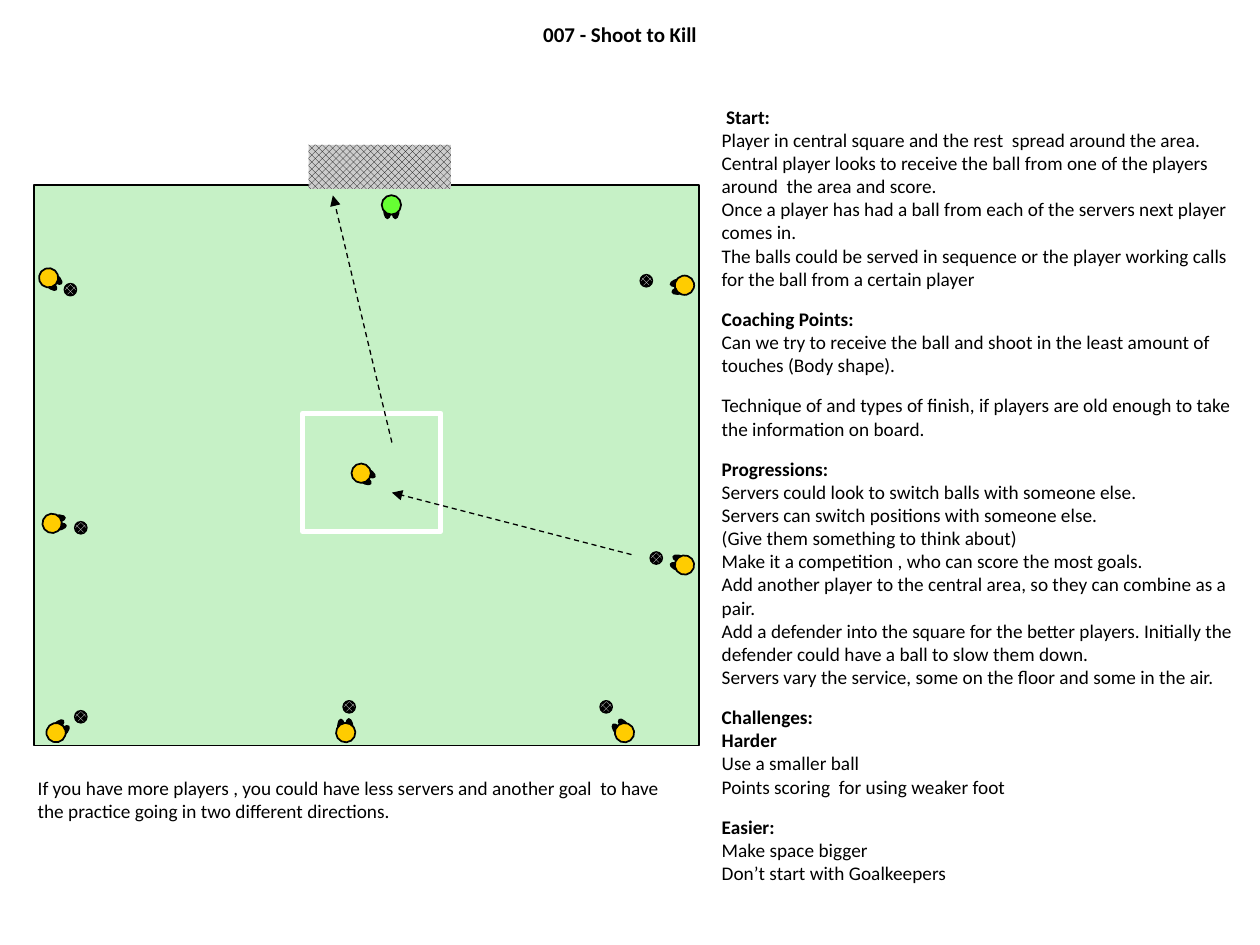
from math import cos, radians, sin

from lxml import etree
from pptx import Presentation
from pptx.dml.color import RGBColor
from pptx.enum.dml import MSO_LINE, MSO_PATTERN
from pptx.enum.shapes import MSO_CONNECTOR, MSO_SHAPE
from pptx.enum.text import MSO_ANCHOR, MSO_AUTO_SIZE, PP_ALIGN
from pptx.oxml.ns import qn
from pptx.util import Cm, Pt

BLACK = RGBColor(0x00, 0x00, 0x00)
WHITE = RGBColor(0xFF, 0xFF, 0xFF)
GRASS = RGBColor(0xC6, 0xF1, 0xC6)
NET = RGBColor(0xCC, 0xCC, 0xCC)
YELLOW = RGBColor(0xFF, 0xCC, 0x00)
GREEN = RGBColor(0x66, 0xFF, 0x33)

HEAD, FOOT, BALL, STEP = 0.39, 0.15, 0.25, 0.08

PLAYERS = [
    (13.8, 5.75, 257, YELLOW),
    (1.05, 10.55, 83, YELLOW),
    (0.98, 5.6, 131, YELLOW),
    (7.89, 4.13, 180, GREEN),
    (13.8, 11.39, 290, YELLOW),
    (1.13, 14.77, 47, YELLOW),
    (6.97, 14.77, 356, YELLOW),
    (12.59, 14.77, 322, YELLOW),
    (7.28, 9.54, 121, YELLOW),
]
BALLS = [(1.42, 5.84), (13.23, 11.25), (13.03, 5.66), (1.63, 10.64),
         (1.63, 14.45), (12.22, 14.25), (7.04, 14.25)]
ARROWS = [(7.9, 8.92, 6.71, 3.94), (12.73, 11.18, 7.9, 9.93)]

SECTIONS = [
    [" Start:",
     "Player in central square and the rest  spread around the area. Central player looks "
     "to receive the ball from one of the players around  the area and score.",
     "Once a player has had a ball from each of the servers next player comes in.",
     "The balls could be served in sequence or the player working calls for the ball "
     "from a certain player"],
    ["Coaching Points:",
     "Can we try to receive the ball and shoot in the least amount of touches (Body shape)."],
    ["Technique of and types of finish, if players are old enough to take the "
     "information on board."],
    ["Progressions:",
     "Servers could look to switch balls with someone else.",
     "Servers can switch positions with someone else.",
     "(Give them something to think about)",
     "Make it a competition , who can score the most goals.",
     "Add another player to the central area, so they can combine as a pair.",
     "Add a defender into the square for the better players. Initially the defender "
     "could have a ball to slow them down.",
     "Servers vary the service, some on the floor and some in the air."],
    ["Challenges:", "Harder", "Use a smaller ball", "Points scoring  for using weaker foot"],
    ["Easier:", "Make space bigger", "Don’t start with Goalkeepers"],
]
HEADINGS = {" Start:", "Coaching Points:", "Progressions:", "Challenges:", "Harder", "Easier:"}


def add_shape(shapes, kind, left, top, width, height, fill=None, line=None, weight=1, rot=0):
    sp = shapes.add_shape(kind, Cm(left), Cm(top), Cm(width), Cm(height))
    sp.shadow.inherit = False
    sp.rotation = rot
    if fill is None:
        sp.fill.background()
    elif isinstance(fill, RGBColor):
        sp.fill.solid()
        sp.fill.fore_color.rgb = fill
    else:
        sp.fill.patterned()
        sp.fill.pattern, sp.fill.fore_color.rgb, sp.fill.back_color.rgb = fill
    if line is None:
        sp.line.fill.background()
    else:
        sp.line.color.rgb = line
        sp.line.width = Pt(weight)
    return sp


def write(p, text, size=11, bold=False):
    p.text = text
    for r in p.runs:
        r.font.name = "Calibri"
        r.font.size = Pt(size)
        r.font.bold = bold
        r.font.color.rgb = BLACK


prs = Presentation()
prs.slide_width = Cm(25.4)
prs.slide_height = Cm(19.05)
s = prs.slides.add_slide(prs.slide_layouts[5])

title = s.shapes.title
title.left, title.top, title.width, title.height = Cm(7.7), Cm(0.33), Cm(9.6), Cm(0.99)
tf = title.text_frame
tf.margin_left = tf.margin_right = tf.margin_top = tf.margin_bottom = Cm(0.1)
tf.vertical_anchor = MSO_ANCHOR.TOP
tf.auto_size = MSO_AUTO_SIZE.NONE
p = tf.paragraphs[0]
p.alignment = PP_ALIGN.CENTER
write(p, "007 - Shoot to Kill", 12, True)

add_shape(s.shapes, MSO_SHAPE.RECTANGLE, 0.69, 3.73, 13.41, 11.3, GRASS, BLACK)
add_shape(s.shapes, MSO_SHAPE.RECTANGLE, 6.22, 2.92, 2.87, 0.89,
          (MSO_PATTERN.OUTLINED_DIAMOND, BLACK, NET))
add_shape(s.shapes, MSO_SHAPE.RECTANGLE, 6.1, 8.33, 2.79, 2.39, None, WHITE, 2.75)

for x, y, rot, color in PLAYERS:
    player = s.shapes.add_group_shape()
    a = radians(rot)
    for side in (-STEP, STEP):
        foot_x = x + side * cos(a) + STEP * sin(a)
        foot_y = y + side * sin(a) - STEP * cos(a)
        add_shape(player.shapes, MSO_SHAPE.OVAL, foot_x - FOOT / 2, foot_y - HEAD / 2,
                  FOOT, HEAD, BLACK, BLACK, 0.75, rot)
    add_shape(player.shapes, MSO_SHAPE.OVAL, x - HEAD / 2, y - HEAD / 2,
              HEAD, HEAD, color, BLACK, 1, rot)

for x, y in BALLS:
    add_shape(s.shapes, MSO_SHAPE.OVAL, x - BALL / 2, y - BALL / 2, BALL, BALL,
              (MSO_PATTERN.SOLID_DIAMOND, WHITE, BLACK), BLACK, 0.75)

for x1, y1, x2, y2 in ARROWS:
    arrow = s.shapes.add_connector(MSO_CONNECTOR.STRAIGHT, Cm(x1), Cm(y1), Cm(x2), Cm(y2))
    arrow.line.color.rgb = BLACK
    arrow.line.width = Pt(0.75)
    arrow.line.dash_style = MSO_LINE.DASH
    props = arrow.element.spPr
    etree.SubElement(props.find(qn("a:ln")), qn("a:tailEnd"), type="triangle")
    etree.SubElement(props, qn("a:effectLst"))

notes = s.shapes.add_textbox(Cm(14.3), Cm(1.52), Cm(10.8), Cm(16.5))
tf = notes.text_frame
tf.word_wrap = True
tf.margin_top = Cm(0.6)
p = tf.paragraphs[0]
for i, section in enumerate(SECTIONS):
    for j, text in enumerate(section):
        if i or j:
            p = tf.add_paragraph()
        if i and j == 0:
            p.space_before = Pt(9.8)
        write(p, text, bold=text in HEADINGS)

tip = s.shapes.add_textbox(Cm(0.51), Cm(15.52), Cm(13.61), Cm(1.19))
tip.text_frame.word_wrap = True
write(tip.text_frame.paragraphs[0],
      "If you have more players , you could have less servers and another goal  to have "
      "the practice going in two different directions.")

prs.save("out.pptx")
